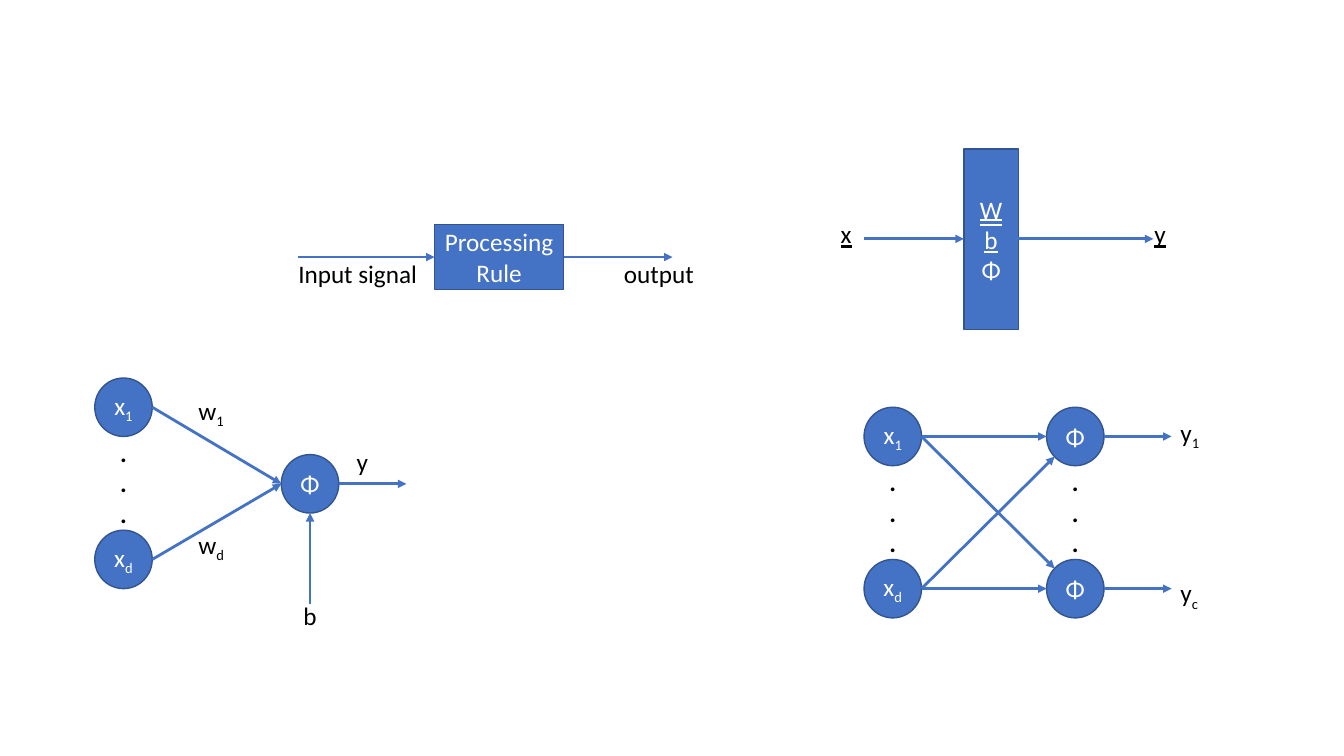
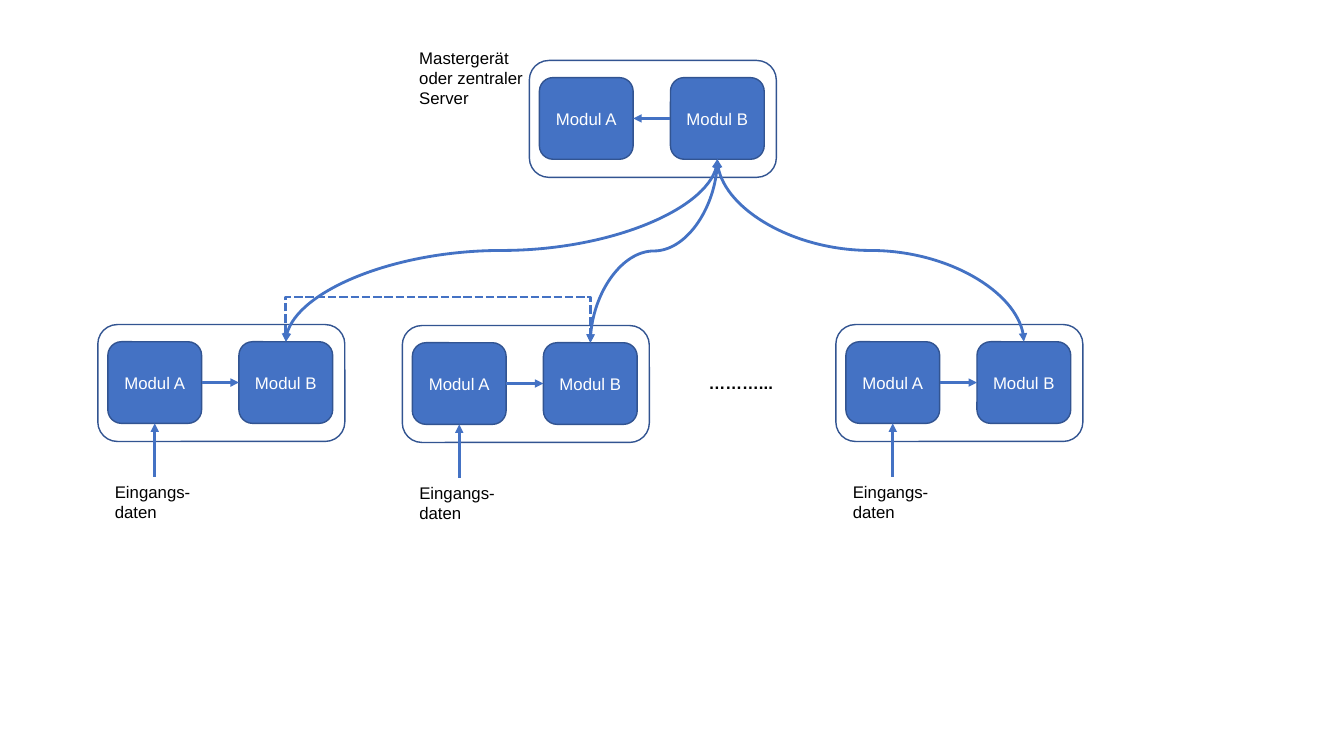
from dataclasses import dataclass

from lxml.etree import SubElement
from pptx import Presentation
from pptx.dml.color import RGBColor
from pptx.enum.dml import MSO_LINE
from pptx.enum.shapes import MSO_CONNECTOR, MSO_SHAPE
from pptx.enum.text import MSO_ANCHOR, MSO_UNDERLINE, PP_ALIGN
from pptx.oxml.ns import qn
from pptx.util import Inches, Pt


@dataclass(frozen=True)
class Theme:
    """Colours, fonts and sizes shared by the slides."""
    fill: RGBColor = RGBColor(0x44, 0x72, 0xC4)
    edge: RGBColor = RGBColor(0x32, 0x54, 0x91)
    light: RGBColor = RGBColor(0xFF, 0xFF, 0xFF)
    dark: RGBColor = RGBColor(0, 0, 0)
    edge_width: float = 1
    arrow_width: float = 2


T = Theme()
MATH = {"name": "Calibri", "size": Pt(18)}
PLAIN = {"name": "Arial", "size": Pt(12)}
BOLD = {"bold": True}
SINGLE = {"underline": True}
DOUBLE = {"underline": MSO_UNDERLINE.DOUBLE_LINE}

# Slide 1: lengths in inches; "_" starts a subscript
NODE_W, NODE_H, NODE_STEP = 0.57, 0.58, 1.51
COLUMNS = [
    (0.94, 3.75, ["x_1", "x_d"]),
    (8.57, 4.04, ["x_1", "x_d"]),
    (10.38, 4.04, ["Φ", "Φ"]),
]
NEURON = (2.79, 4.51)
RULE_BOX = (4.31, 2.23, 1.28, 0.64)
LAYER_BOX = (9.56, 1.48, 0.54, 1.79)
LAYER_TEXT = [("W", DOUBLE), ("b", SINGLE), ("Φ", {})]
MATH_LABELS = [
    ("Input signal", (2.86, 2.51, 1.55, 0.41), {}),
    ("output", (6.09, 2.51, 0.94, 0.41), {}),
    ("w_1", (1.87, 3.87, 0.5, 0.71), {}),
    ("w_d", (1.87, 5.2, 0.5, 0.71), {}),
    ("y", (3.44, 4.38, 0.33, 0.71), {}),
    ("b", (2.91, 5.91, 0.33, 0.71), {}),
    ("y_1", (11.61, 4.09, 0.46, 0.71), {}),
    ("y_c", (11.61, 5.68, 0.49, 0.71), {}),
    ("y", (11.35, 2.12, 0.34, 0.4), SINGLE),
    ("x", (8.24, 2.12, 0.34, 0.4), SINGLE),
]

# Slide 2
MASTER = (5.25, 0.6)
DEVICES = [(0.97, 3.22), (3.99, 3.23), (8.29, 3.22)]
FRAME_W, FRAME_H = 2.45, 1.16
MODULE_W, MODULE_H = 0.93, 0.81
MODULE_X, MODULE_Y, MODULE_STEP = 0.1, 0.17, 1.3
MODULES = ["Modul A", "Modul B"]
INPUT_LENGTH, BRIDGE_RISE = 0.53, 0.45
DEVICE_LABELS = [
    ("Mastergerät oder zentraler Server", (4.06, 0.42, 1.26, 0.71), {}),
    ("………...", (6.93, 3.65, 0.87, 0.3), BOLD),
]


def write(sp, paras, font, color, align=PP_ALIGN.LEFT):
    """Fill a shape with (text, format) paragraphs."""
    tf = sp.text_frame
    tf.word_wrap = True
    for i, (text, extra) in enumerate(paras):
        p = tf.add_paragraph() if i else tf.paragraphs[0]
        p.alignment = align
        for level, part in enumerate(text.split("_")):
            r = p.add_run()
            r.text = part
            for key, value in {**font, **extra}.items():
                setattr(r.font, key, value)
            r.font.color.rgb = color
            if level:
                r.font._element.set("baseline", "-25000")


def label(s, box, paras, font, align=PP_ALIGN.LEFT):
    """Add a dark text box."""
    sp = s.shapes.add_textbox(*map(Inches, box))
    write(sp, paras, font, T.dark, align)


def block(s, kind, box, paras=(), font=MATH):
    """Add an outlined shape, filled when it carries text."""
    sp = s.shapes.add_shape(kind, *map(Inches, box))
    sp.shadow.inherit = False
    sp.line.color.rgb = T.edge
    sp.line.width = Pt(T.edge_width)
    if not paras:
        sp.fill.background()
        return
    sp.fill.solid()
    sp.fill.fore_color.rgb = T.fill
    tf = sp.text_frame
    tf.margin_left = tf.margin_right = 0
    tf.vertical_anchor = MSO_ANCHOR.MIDDLE
    write(sp, paras, font, T.light, PP_ALIGN.CENTER)


def arrow(s, start, end, kind=MSO_CONNECTOR.STRAIGHT, both=False, dash=None):
    """Add a connector with a head at its end, or at both ends."""
    c = s.shapes.add_connector(kind, *map(Inches, (*start, *end)))
    c.line.color.rgb = T.fill
    c.line.width = Pt(T.arrow_width)
    if dash:
        c.line.dash_style = dash
    spPr = c._element.spPr
    ln = spPr.find(qn("a:ln"))
    for tag in ["a:headEnd", "a:tailEnd"] if both else ["a:tailEnd"]:
        SubElement(ln, qn(tag), type="triangle")
    SubElement(spPr, qn("a:effectLst"))
    return c


def drop(s, start, end, kind, dash=None):
    """Add a two-headed connector that leaves and arrives vertically."""
    (x1, y1), (x2, y2) = start, end
    cx, cy = (x1 + x2) / 2, (y1 + y2) / 2
    rightward = x2 > x1
    dx = (y2 - y1) / 2 * (-1 if rightward else 1)
    dy = abs(x2 - x1) / 2
    c = arrow(s, (cx - dx, cy - dy), (cx + dx, cy + dy), kind, True, dash)
    c.rotation = 270 if rightward else 90
    return c


def node(s, x, y, text):
    """Add a round network node."""
    block(s, MSO_SHAPE.OVAL, (x, y, NODE_W, NODE_H), [(text, {})])


def column(s, x, y, texts):
    """Add two nodes with dots between; return their left and right ports."""
    for i, text in enumerate(texts):
        node(s, x, y + i * NODE_STEP, text)
    label(s, (x, y + 0.54, NODE_W, 1.01), [(".", BOLD)] * 3, MATH,
          PP_ALIGN.CENTER)
    mids = [y + NODE_H / 2 + i * NODE_STEP for i in range(len(texts))]
    return [(x, m) for m in mids], [(x + NODE_W, m) for m in mids]


def through(s, box, left, right, y):
    """Draw the arrows into and out of a box."""
    arrow(s, (left, y), (box[0], y))
    arrow(s, (box[0] + box[2], y), (right, y))


def networks(s):
    """Build the neuron and layer diagrams."""
    block(s, MSO_SHAPE.RECTANGLE, RULE_BOX, [("Processing Rule", {})])
    through(s, RULE_BOX, 2.96, 6.67, 2.55)
    block(s, MSO_SHAPE.RECTANGLE, LAYER_BOX, LAYER_TEXT)
    through(s, LAYER_BOX, 8.57, 11.44, 2.37)

    (_, weights), (_, inputs), (targets, outputs) = [
        column(s, *col) for col in COLUMNS]
    x, y = NEURON
    mid = y + NODE_H / 2
    node(s, x, y, "Φ")
    for port in weights:
        arrow(s, port, (x, mid))
    arrow(s, (x + NODE_W, mid), (4.03, mid))
    bias_x = x + NODE_W / 2
    arrow(s, (bias_x, 5.99), (bias_x, y + NODE_H))

    for i, port in enumerate(inputs):
        arrow(s, port, targets[i])
        cross_x, cross_y = targets[1 - i]
        arrow(s, port, (cross_x + 0.08, cross_y + (0.2 if i else -0.2)))
    for px, py in outputs:
        arrow(s, (px, py), (11.62, py))
    for text, box, extra in MATH_LABELS:
        label(s, box, [(text, extra)], MATH)


def device(s, x, y, is_master=False):
    """Add a framed pair of modules; return the top of module B."""
    ax, top = x + MODULE_X, y + MODULE_Y
    bx, mid = ax + MODULE_STEP, top + MODULE_H / 2
    for mx, text in zip((ax, bx), MODULES):
        block(s, MSO_SHAPE.ROUNDED_RECTANGLE, (mx, top, MODULE_W, MODULE_H),
              [(text, {})], PLAIN)
    block(s, MSO_SHAPE.ROUNDED_RECTANGLE, (x, y, FRAME_W, FRAME_H))
    link = [(ax + MODULE_W, mid), (bx, mid)]
    arrow(s, *(reversed(link) if is_master else link))
    if not is_master:
        in_x, bottom = ax + MODULE_W / 2, top + MODULE_H
        arrow(s, (in_x, bottom + INPUT_LENGTH), (in_x, bottom))
        label(s, (x + 0.07, bottom + INPUT_LENGTH, 0.99, 0.5),
              [("Eingangs-daten", {})], PLAIN)
    return bx + MODULE_W / 2, top


def devices(s):
    """Build the master and device diagram."""
    mx, my = device(s, *MASTER, is_master=True)
    tops = [device(s, *spot) for spot in DEVICES]
    for top in tops:
        drop(s, (mx, my + MODULE_H), top, MSO_CONNECTOR.CURVE)
    first, second = tops[:2]
    bridge = drop(s, first, second, MSO_CONNECTOR.ELBOW, MSO_LINE.SQUARE_DOT)
    bend = round(-BRIDGE_RISE / (second[1] - first[1]) * 100000)
    guides = bridge._element.spPr.find(qn("a:prstGeom")).find(qn("a:avLst"))
    SubElement(guides, qn("a:gd"), name="adj1", fmla=f"val {bend}")
    for text, box, extra in DEVICE_LABELS:
        label(s, box, [(text, extra)], PLAIN)


prs = Presentation()
prs.slide_width, prs.slide_height = Inches(13.33), Inches(7.5)
for build in (networks, devices):
    build(prs.slides.add_slide(prs.slide_layouts[6]))
prs.save("out.pptx")
